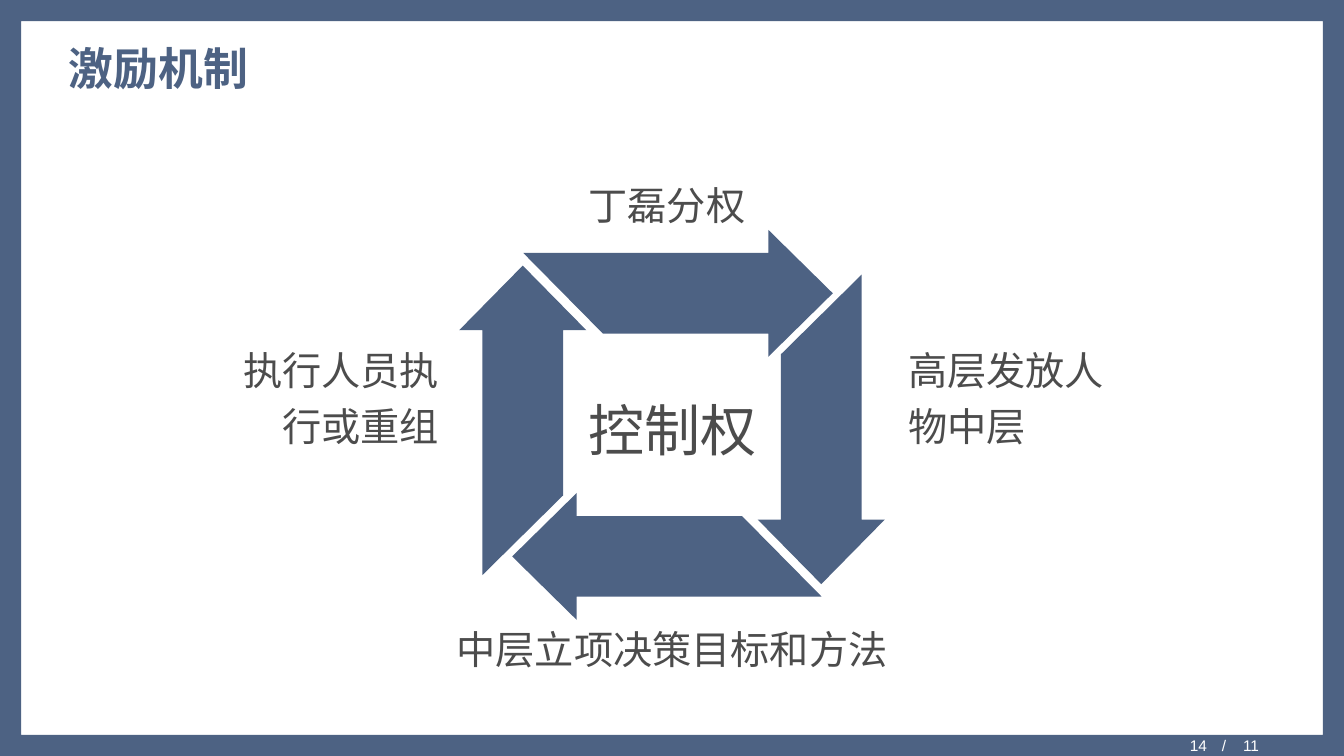
from lxml.etree import SubElement
from pptx import Presentation
from pptx.dml.color import RGBColor
from pptx.enum.shapes import MSO_SHAPE
from pptx.enum.text import MSO_ANCHOR, MSO_AUTO_SIZE, PP_ALIGN
from pptx.oxml.ns import qn
from pptx.util import Inches, Pt

COLORS = {"navy": "4D6283", "text": "4C4C4C", "white": "FFFFFF"}
HEADING_FONT = "Montserrat"
FOOTER_FONT = "Arial"
ARROW_OUTLINE = [(2.43, 0), (3.07, 0.63), (2.43, 1.26), (2.43, 1.03),
                 (0.79, 1.03), (0, 0.23), (2.43, 0.23)]


class SlideBuilder:
    def __init__(self, presentation):
        self.slide = presentation.slides.add_slide(presentation.slide_layouts[5])

    def color(self, name):
        return RGBColor.from_string(COLORS[name])

    def style_font(self, paragraph, size, color, name=HEADING_FONT, bold=False):
        paragraph.font.size = Pt(size)
        paragraph.font.name = name
        paragraph.font.bold = bold
        paragraph.font.color.rgb = self.color(color)

    def paint(self, shape):
        shape.shadow.inherit = False
        shape.fill.solid()
        shape.fill.fore_color.rgb = self.color("navy")
        shape.line.fill.background()

    def title(self, text, left, top, width, height):
        shape = self.slide.shapes.title
        shape.left, shape.top = Inches(left), Inches(top)
        shape.width, shape.height = Inches(width), Inches(height)
        shape.text_frame.text = text
        shape.text_frame.vertical_anchor = MSO_ANCHOR.MIDDLE
        paragraph = shape.text_frame.paragraphs[0]
        paragraph.alignment = PP_ALIGN.LEFT
        self.style_font(paragraph, 32, "navy", bold=True)

    def frame(self, width, height):
        shape = self.slide.shapes.add_shape(MSO_SHAPE.FRAME, 0, 0, width, height)
        shape.adjustments[0] = 0.028
        self.paint(shape)

    def arrow(self, left, top, rotation):
        points = [(Inches(x), Inches(y)) for x, y in ARROW_OUTLINE]
        builder = self.slide.shapes.build_freeform(*points[0])
        builder.add_line_segments(points[1:], close=True)
        shape = builder.convert_to_shape(Inches(left), Inches(top))
        shape.rotation = rotation
        self.paint(shape)

    def text_box(self, text, left, top, width, height, alignment):
        shape = self.slide.shapes.add_textbox(
            Inches(left), Inches(top), Inches(width), Inches(height))
        shape.text_frame.word_wrap = True
        shape.text_frame.text = text
        paragraph = shape.text_frame.paragraphs[0]
        paragraph.alignment = alignment
        return shape.text_frame, paragraph

    def label(self, text, left, top, width, height, alignment, size=28):
        text_frame, paragraph = self.text_box(text, left, top, width, height, alignment)
        text_frame.auto_size = MSO_AUTO_SIZE.SHAPE_TO_FIT_TEXT
        paragraph.line_spacing = 1.2
        paragraph.space_after = Pt(2)
        self.style_font(paragraph, size, "text")

    def footer(self, text, left, top, width, alignment, tab=None):
        text_frame, paragraph = self.text_box(text, left, top, width, 0.18, alignment)
        text_frame.vertical_anchor = MSO_ANCHOR.MIDDLE
        text_frame.margin_top = text_frame.margin_bottom = 0
        if tab:
            tab_list = SubElement(paragraph._p.get_or_add_pPr(), qn("a:tabLst"))
            SubElement(tab_list, qn("a:tab"), pos=str(Inches(tab)), algn="l")
        self.style_font(paragraph, 11, "white", FOOTER_FONT)


def main():
    presentation = Presentation()
    presentation.slide_width = Inches(13.33)
    presentation.slide_height = Inches(7.5)
    builder = SlideBuilder(presentation)
    builder.frame(presentation.slide_width, presentation.slide_height)
    builder.title("激励机制", 0.58, 0.28, 12.18, 0.79)
    builder.footer("/\t11", 12.02, 7.3, 1.31, PP_ALIGN.LEFT, tab=0.21)
    builder.footer("14", 9.48, 7.3, 2.59, PP_ALIGN.RIGHT)

    arrow_positions = [(5.19, 2.28), (6.61, 3.63), (5.08, 4.89), (3.65, 3.54)]
    for index, (left, top) in enumerate(arrow_positions):
        builder.arrow(left, top, 90 * index)

    builder.label("控制权", 5.55, 3.74, 2.24, 0.85, PP_ALIGN.CENTER, size=40)
    builder.label("执行人员执行或重组", 2.11, 3.29, 2.34, 1.18, PP_ALIGN.RIGHT)
    builder.label("丁磊分权", 3.81, 1.66, 5.61, 0.63, PP_ALIGN.CENTER)
    builder.label("中层立项决策目标和方法", 3.86, 6.06, 5.61, 0.63, PP_ALIGN.CENTER)
    builder.label("高层发放人物中层", 8.91, 3.29, 2.34, 1.18, PP_ALIGN.LEFT)
    presentation.save("out.pptx")


if __name__ == "__main__":
    main()
